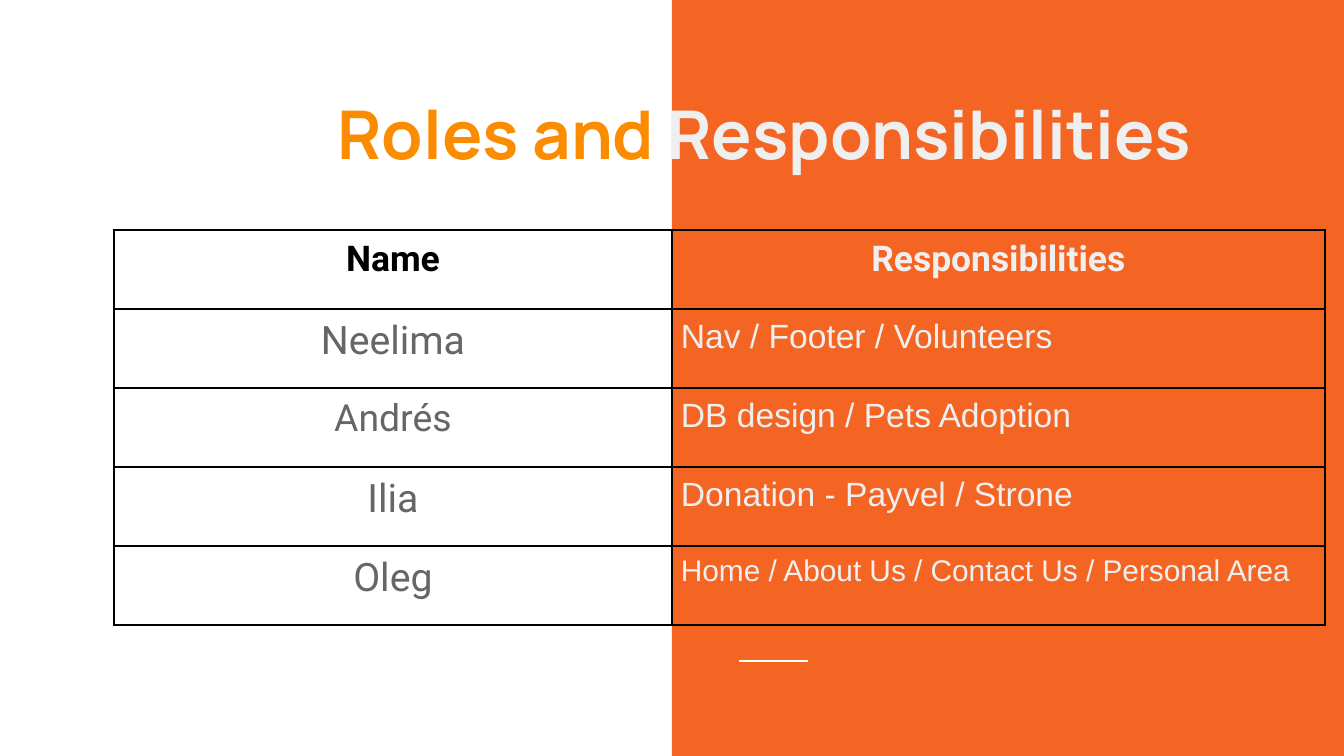
from lxml import etree
from pptx import Presentation
from pptx.dml.color import RGBColor
from pptx.enum.shapes import MSO_CONNECTOR, MSO_SHAPE
from pptx.enum.text import MSO_ANCHOR, PP_ALIGN
from pptx.oxml.ns import qn
from pptx.util import Pt

RECTANGLE = MSO_SHAPE.RECTANGLE
STRAIGHT = MSO_CONNECTOR.STRAIGHT
MIDDLE = MSO_ANCHOR.MIDDLE
CENTER = PP_ALIGN.CENTER
LEFT = PP_ALIGN.LEFT

WHITE = RGBColor(0xFF, 0xFF, 0xFF)
BLACK = RGBColor(0x00, 0x00, 0x00)
ORANGE = RGBColor(0xF4, 0x65, 0x24)
AMBER = RGBColor(0xFB, 0x8C, 0x00)
PALE = RGBColor(0xEF, 0xEF, 0xEF)
GRAY = RGBColor(0x66, 0x66, 0x66)

TITLE_ONLY = 5
WIDTH, HEIGHT = 1344, 756
HALF = WIDTH // 2
MEMBERS = [
    ("Neelima", 21, "Nav / Footer / Volunteers", 18),
    ("Andrés", 20, "DB design / Pets Adoption", 18),
    ("Ilia", 21, "Donation - Payvel / Strone", 18),
    ("Oleg", 21, "Home / About Us / Contact Us / Personal Area", 16),
]


def px(pixels):
    return round(pixels * 914400 / 134.4)


def write(paragraph, text, font="Roboto", size=19, color=BLACK, bold=False, align=CENTER):
    paragraph.alignment = align
    run = paragraph.add_run()
    run.text = text
    run.font.name = font
    run.font.size = Pt(size)
    run.font.bold = bold
    run.font.color.rgb = color


class Deck:
    title_font = "Manrope"
    title_size = 36
    title_inset = 13
    cell_inset = 9
    border = Pt(1)

    def __init__(self):
        self.presentation = Presentation()
        self.presentation.slide_width = px(WIDTH)
        self.presentation.slide_height = px(HEIGHT)
        self.slide = None

    def add_slide(self):
        layout = self.presentation.slide_layouts[TITLE_ONLY]
        self.slide = self.presentation.slides.add_slide(layout)
        self.slide.background.fill.solid()
        self.slide.background.fill.fore_color.rgb = WHITE

    def panel(self, left, top, width, height, color):
        panel = self.slide.shapes.add_shape(RECTANGLE, px(left), px(top), px(width), px(height))
        panel.shadow.inherit = False
        panel.fill.solid()
        panel.fill.fore_color.rgb = color
        panel.line.fill.background()

    def rule(self, left, top, right, color, width):
        rule = self.slide.shapes.add_connector(STRAIGHT, px(left), px(top), px(right), px(top))
        rule.line.color.rgb = color
        rule.line.width = Pt(width)
        etree.SubElement(rule.element.spPr, qn("a:effectLst"))

    def title(self, left, top, width, height, parts):
        title = self.slide.shapes.title
        title.left, title.top = px(left), px(top)
        title.width, title.height = px(width), px(height)
        frame = title.text_frame
        frame.word_wrap = True
        frame.vertical_anchor = MIDDLE
        frame.margin_left = frame.margin_right = px(self.title_inset)
        frame.margin_top = frame.margin_bottom = px(self.title_inset)
        for text, color in parts:
            write(frame.paragraphs[0], text, font=self.title_font,
                  size=self.title_size, color=color, bold=True)
        title.element.getparent().append(title.element)

    def table(self, left, top, widths, row_height, rows):
        table = self.slide.shapes.add_table(
            len(rows), len(widths), px(left), px(top),
            px(sum(widths)), px(row_height * len(rows))).table
        table.first_row = table.horz_banding = False
        for column, width in zip(table.columns, widths):
            column.width = px(width)
        for row, entries in zip(table.rows, rows):
            row.height = px(row_height)
            for cell, (text, style) in zip(row.cells, entries):
                self.outline(cell)
                cell.fill.background()
                cell.margin_left = cell.margin_right = px(self.cell_inset)
                cell.margin_top = cell.margin_bottom = px(self.cell_inset)
                write(cell.text_frame.paragraphs[0], text, **style)

    def outline(self, cell):
        properties = cell._tc.get_or_add_tcPr()
        for side in ("a:lnL", "a:lnR", "a:lnT", "a:lnB"):
            edge = etree.SubElement(properties, qn(side), w=str(self.border))
            fill = etree.SubElement(edge, qn("a:solidFill"))
            etree.SubElement(fill, qn("a:srgbClr"), val=str(BLACK))

    def save(self):
        self.presentation.save("out.pptx")


def role_rows():
    rows = [[("Name", dict(bold=True)),
             ("Responsibilities", dict(bold=True, color=PALE))]]
    for name, name_size, duties, duties_size in MEMBERS:
        rows.append([
            (name, dict(size=name_size, color=GRAY)),
            (duties, dict(font="Arial", size=duties_size, color=PALE, align=LEFT)),
        ])
    return rows


deck = Deck()
deck.add_slide()
deck.panel(HALF, 0, HALF, HEIGHT, ORANGE)
deck.rule(739, 661, 808, WHITE, 1.5)
deck.title(228, 74, 1073, 117, [("Roles and ", AMBER), ("Responsibilities", PALE)])
deck.table(114, 230, [558, 653], 79, role_rows())
deck.save()
